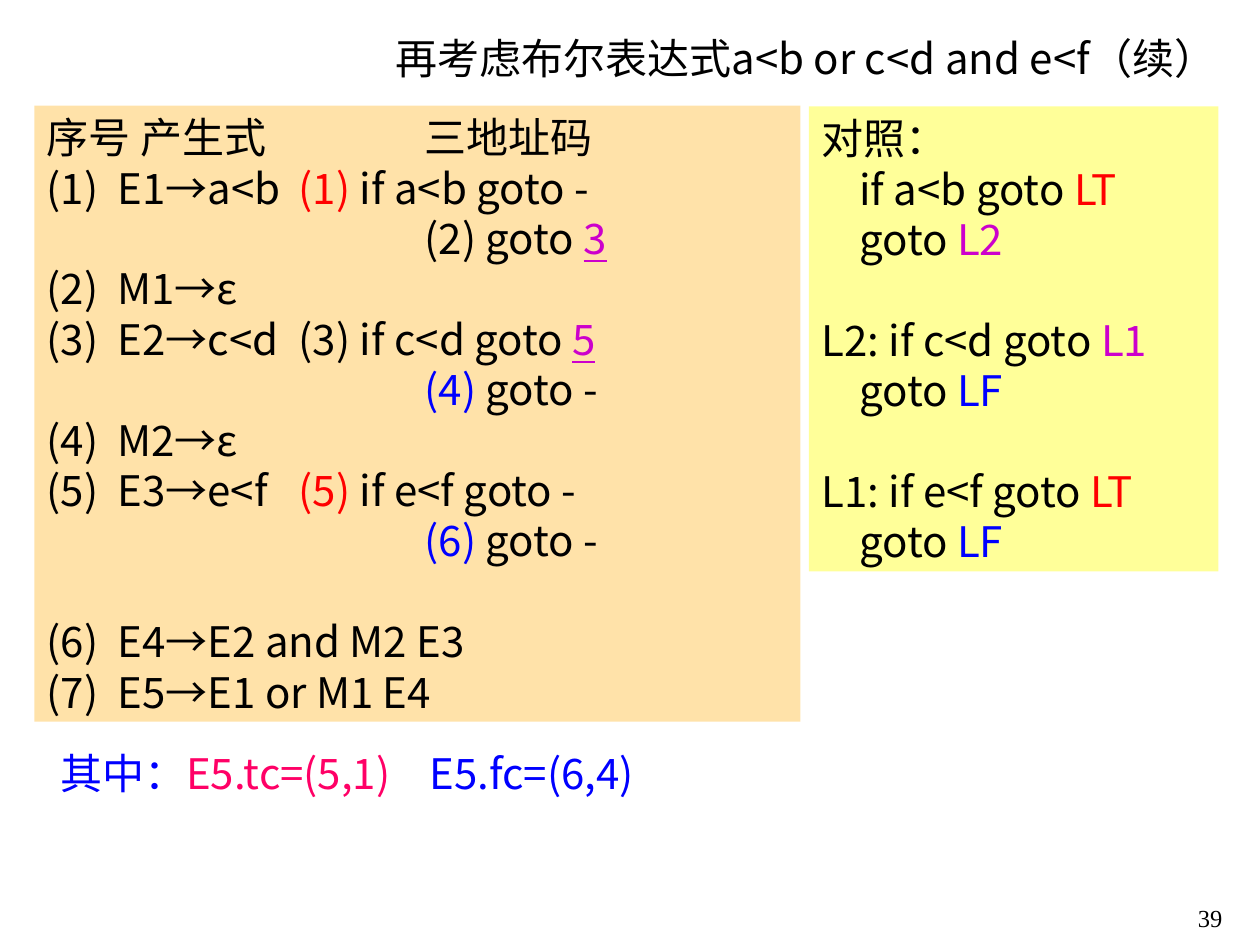
import pptx
import pptx.dml.color
import pptx.enum.shapes
import pptx.enum.text
import pptx.oxml.ns
import pptx.util
from lxml import etree

Pt = pptx.util.Pt
ALIGN = pptx.enum.text.PP_ALIGN
ANCHOR = pptx.enum.text.MSO_ANCHOR
SANS, SERIF = "Noto Sans CJK SC", "Times New Roman"
BLACK, RED, BLUE, PURPLE, PINK = "000000", "FF0000", "0000FF", "CC00CC", "FF0066"
LINE_HEIGHT = 28.8
CODE_COLUMN = 216  # where the second instruction of a pair starts
ROW_TABS = (40.5, 144)


def color(hex_string):
    return pptx.dml.color.RGBColor.from_string(hex_string)


def add_xml(parent, tag, **attributes):
    return etree.SubElement(parent, pptx.oxml.ns.qn(tag), attributes)


def add_run(paragraph, text, font=SANS, size=24, fill=BLACK, underline=False):
    run = paragraph.add_run()
    run.text = text
    run.font.name, run.font.size = font, Pt(size)
    run.font.color.rgb = color(fill)
    if underline:
        run.font.underline = True
    add_xml(run.font._element, "a:ea", typeface=font)


def line(*parts, tabs=(), indent=0, gap=False):
    """One line of text: parts are strings or (text, format) pairs."""
    return {"parts": parts, "tabs": tabs, "indent": indent, "gap": gap}


def colored(text, fill, **style):
    return text, {"fill": fill, **style}


class SlideBuilder:
    def __init__(self, slide):
        self.slide = slide

    def set_lines(self, shape, lines, align=ALIGN.LEFT, anchor=ANCHOR.TOP, **style):
        frame = shape.text_frame
        frame.word_wrap = True
        frame.vertical_anchor = anchor
        for index, content in enumerate(lines):
            paragraph = frame.add_paragraph() if index else frame.paragraphs[0]
            paragraph.alignment = align
            if style.get("font", SANS) == SANS:
                paragraph.line_spacing = Pt(LINE_HEIGHT)
            if content["gap"]:
                paragraph.space_before = Pt(LINE_HEIGHT)
            properties = paragraph._p.get_or_add_pPr()
            if content["indent"]:
                properties.set("marL", str(Pt(content["indent"])))
                properties.set("indent", "0")
            if content["tabs"]:
                tab_list = add_xml(properties, "a:tabLst")
                for position in content["tabs"]:
                    add_xml(tab_list, "a:tab", pos=str(Pt(position)), algn="l")
            for part in content["parts"]:
                text, extra = (part, {}) if isinstance(part, str) else part
                add_run(paragraph, text, **{**style, **extra})

    def text(self, left, top, width, height, lines, **style):
        box = self.slide.shapes.add_textbox(Pt(left), Pt(top), Pt(width), Pt(height))
        self.set_lines(box, lines, **style)

    def panel(self, left, top, width, height, fill, lines, opacity=100):
        shape = self.slide.shapes.add_shape(
            pptx.enum.shapes.MSO_SHAPE.RECTANGLE, Pt(left), Pt(top), Pt(width), Pt(height))
        shape.shadow.inherit = False
        shape.fill.solid()
        shape.fill.fore_color.rgb = color(fill)
        if opacity < 100:
            value = next(shape._element.spPr.iter(pptx.oxml.ns.qn("a:srgbClr")))
            add_xml(value, "a:alpha", val=str(opacity * 1000))
        shape.line.fill.background()
        self.set_lines(shape, lines, align=ALIGN.JUSTIFY)


def row(*parts, **layout):
    return line(*parts, tabs=ROW_TABS, **layout)


def second(*parts):
    return line(*parts, indent=CODE_COLUMN)


def jump(label, fill):
    return line("goto ", colored(label, fill), indent=21.7)


def main():
    presentation = pptx.Presentation()
    presentation.slide_width, presentation.slide_height = Pt(720), Pt(540)
    builder = SlideBuilder(presentation.slides.add_slide(presentation.slide_layouts[6]))

    # Slide number and title
    builder.text(555.84, 500.4, 149.76, 36, [line("39")], align=ALIGN.RIGHT,
                 anchor=ANCHOR.BOTTOM, font=SERIF, size=14)
    builder.text(90, 12.24, 612, 41.76, [line("再考虑布尔表达式a<b or c<d and e<f（续）")],
                 align=ALIGN.RIGHT, anchor=ANCHOR.MIDDLE)

    # Reference code
    builder.panel(462.24, 60.8, 234, 265.7, "FFFF99", [
        line("对照："),
        line("if a<b goto ", colored("LT", RED), indent=21.7),
        jump("L2", PURPLE),
        line("L2: if c<d goto ", colored("L1", PURPLE), gap=True),
        jump("LF", BLUE),
        line("L1: if e<f goto", colored(" LT", RED), gap=True),
        jump("LF", BLUE),
    ])

    # Productions and three-address code
    builder.panel(19.6, 60.3, 437.8, 352.1, "FFCC66", [
        line("序号 产生式\t三地址码", tabs=(CODE_COLUMN,)),
        row("(1)\tE1→a<b\t", colored("(1) ", RED), "if a<b goto -"),
        second("(2) goto ", colored("3", PURPLE, underline=True)),
        row("(2)\tM1→ε"),
        row("(3)\tE2→c<d\t(3) if c<d goto ", colored("5", PURPLE, underline=True)),
        second(colored("(4) ", BLUE), "goto -"),
        row("(4)\tM2→ε"),
        row("(5)\tE3→e<f\t", colored("(5) ", RED), "if e<f goto -"),
        second(colored("(6) ", BLUE), "goto -"),
        row("(6)\tE4→E2 and M2 E3", gap=True),
        row("(7)\tE5→E1 or M1 E4"),
    ], opacity=56)

    # Resulting chains
    builder.text(27.36, 423.4, 553.7, 36, [
        line("其中：", colored("E5.tc=(5,1)\t", PINK), "E5.fc=(6,4)", tabs=(211,)),
    ], fill=BLUE)

    presentation.save("out.pptx")


if __name__ == "__main__":
    main()
